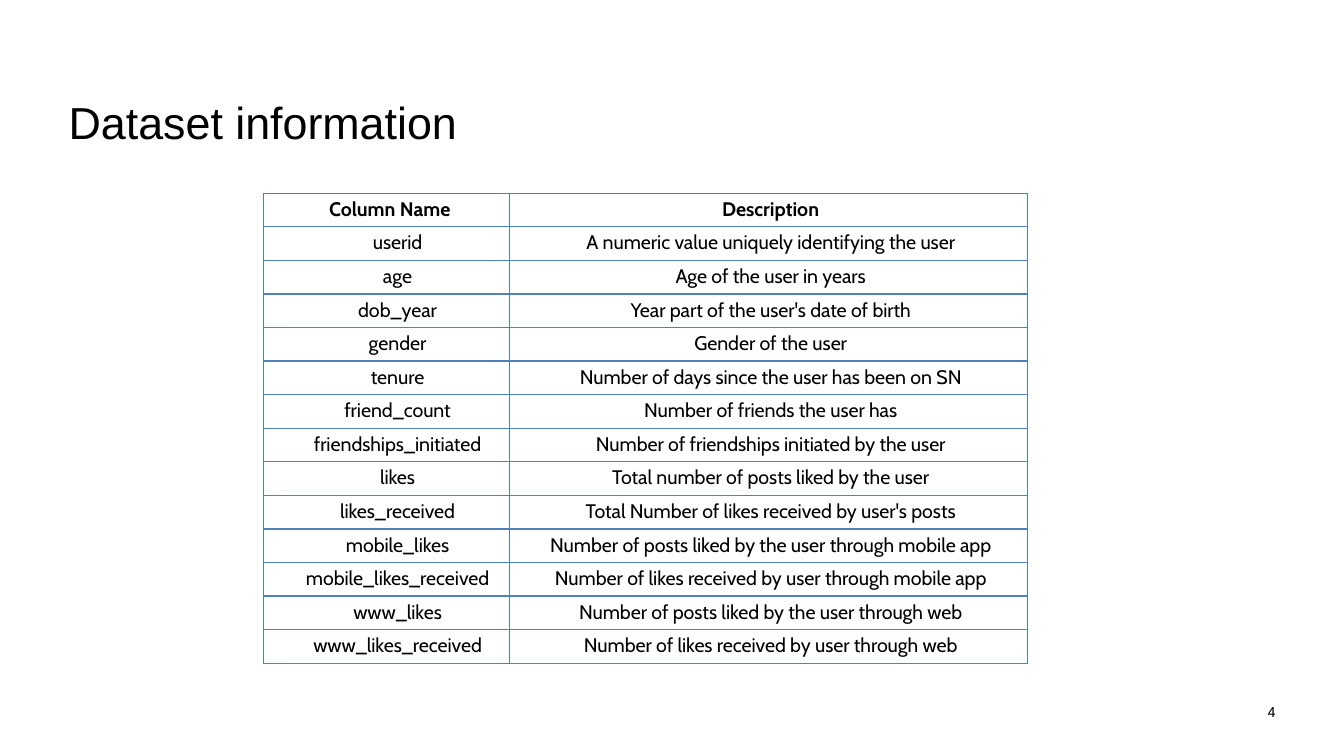
"""Build the dataset information slide with its table of columns."""
from dataclasses import dataclass

from lxml import etree
from pptx import Presentation
from pptx.dml.color import RGBColor
from pptx.enum.text import MSO_ANCHOR, MSO_AUTO_SIZE, PP_ALIGN
from pptx.oxml.ns import qn
from pptx.util import Pt

LEFT, CENTER, RIGHT = PP_ALIGN.LEFT, PP_ALIGN.CENTER, PP_ALIGN.RIGHT
TOP, MIDDLE = MSO_ANCHOR.TOP, MSO_ANCHOR.MIDDLE
NO_AUTOFIT = MSO_AUTO_SIZE.NONE
TITLE_ONLY = 5


@dataclass(frozen=True)
class Theme:
    ink: str = "000000"
    border: str = "4F81BC"
    title_font: str = "Arial"
    table_font: str = "Cabin"
    number_font: str = "Roboto"
    title_size: float = 32
    table_size: float = 14
    number_size: float = 10


COLUMN_WIDTHS = (176, 370)
ROW_HEIGHT = 24
HEADER_INDENTS = (5, 3)
BODY_INDENTS = (16, 3)
ROWS = (
    ("Column Name", "Description"),
    ("userid", "A numeric value uniquely identifying the user"),
    ("age", "Age of the user in years"),
    ("dob_year", "Year part of the user's date of birth"),
    ("gender", "Gender of the user"),
    ("tenure", "Number of days since the user has been on SN"),
    ("friend_count", "Number of friends the user has"),
    ("friendships_initiated", "Number of friendships initiated by the user"),
    ("likes", "Total number of posts liked by the user"),
    ("likes_received", "Total Number of likes received by user's posts"),
    ("mobile_likes", "Number of posts liked by the user through mobile app"),
    ("mobile_likes_received", "Number of likes received by user through mobile app"),
    ("www_likes", "Number of posts liked by the user through web"),
    ("www_likes_received", "Number of likes received by user through web"),
)


class Page:
    def __init__(self, deck, theme):
        self.theme = theme
        self.slide = deck.slides.add_slide(deck.slide_layouts[TITLE_ONLY])

    def add_span(self, para, text, font, size, align, bold=False):
        para.alignment = align
        span = para.add_run()
        span.text = text
        span.font.name = font
        span.font.size = Pt(size)
        span.font.bold = bold
        span.font.color.rgb = RGBColor.from_string(self.theme.ink)
        return span

    def place(self, box, left, top, width, height, anchor):
        box.left, box.top = Pt(left), Pt(top)
        box.width, box.height = Pt(width), Pt(height)
        frame = box.text_frame
        frame.word_wrap = True
        frame.auto_size = NO_AUTOFIT
        frame.vertical_anchor = anchor
        frame.margin_left = frame.margin_right = 0
        frame.margin_top = frame.margin_bottom = 0
        return frame.paragraphs[0]

    def title(self, text, left, top, width, height):
        para = self.place(self.slide.shapes.title, left, top, width, height, TOP)
        para.line_spacing = 0.9
        self.add_span(para, text, self.theme.title_font, self.theme.title_size, LEFT)

    def number(self, text, left, top, width, height):
        box = self.slide.shapes.add_textbox(0, 0, 0, 0)
        para = self.place(box, left, top, width, height, MIDDLE)
        self.add_span(para, text, self.theme.number_font, self.theme.number_size, RIGHT)

    def table(self, rows, left, top, widths, row_height):
        frame = self.slide.shapes.add_table(
            len(rows), len(widths), Pt(left), Pt(top),
            Pt(sum(widths)), Pt(row_height * len(rows)))
        table = frame.table
        table.first_row = table.horz_banding = False
        for column, width in zip(table.columns, widths):
            column.width = Pt(width)
        for index, texts in enumerate(rows):
            table.rows[index].height = Pt(row_height)
            header = index == 0
            indents = HEADER_INDENTS if header else BODY_INDENTS
            for column, (text, indent) in enumerate(zip(texts, indents)):
                self.cell(table.cell(index, column), text, indent, header)

    def cell(self, cell, text, indent, header):
        cell.margin_left = cell.margin_right = cell.margin_bottom = 0
        cell.margin_top = Pt(3)
        para = cell.text_frame.paragraphs[0]
        para.space_before = Pt(3.2)
        properties = para._p.get_or_add_pPr()
        properties.set("marL", str(Pt(indent)))
        properties.set("indent", "0")
        span = self.add_span(para, text, self.theme.table_font,
                             self.theme.table_size, CENTER, header)
        if not header:
            span._r.get_or_add_rPr().set("spc", "-5")
        self.borders(cell)
        cell.fill.background()

    def borders(self, cell):
        properties = cell._tc.get_or_add_tcPr()
        for side in ("a:lnL", "a:lnR", "a:lnT", "a:lnB"):
            line = etree.SubElement(properties, qn(side), w=str(Pt(1)))
            fill = etree.SubElement(line, qn("a:solidFill"))
            etree.SubElement(fill, qn("a:srgbClr"), val=self.theme.border)


def main():
    deck = Presentation()
    deck.slide_width, deck.slide_height = Pt(960), Pt(540)
    page = Page(deck, Theme())
    page.number("4", 704, 494, 207, 29)
    page.title("Dataset information", 49, 72, 862, 47)
    page.table(ROWS, 188, 138, COLUMN_WIDTHS, ROW_HEIGHT)
    deck.save("out.pptx")


if __name__ == "__main__":
    main()
